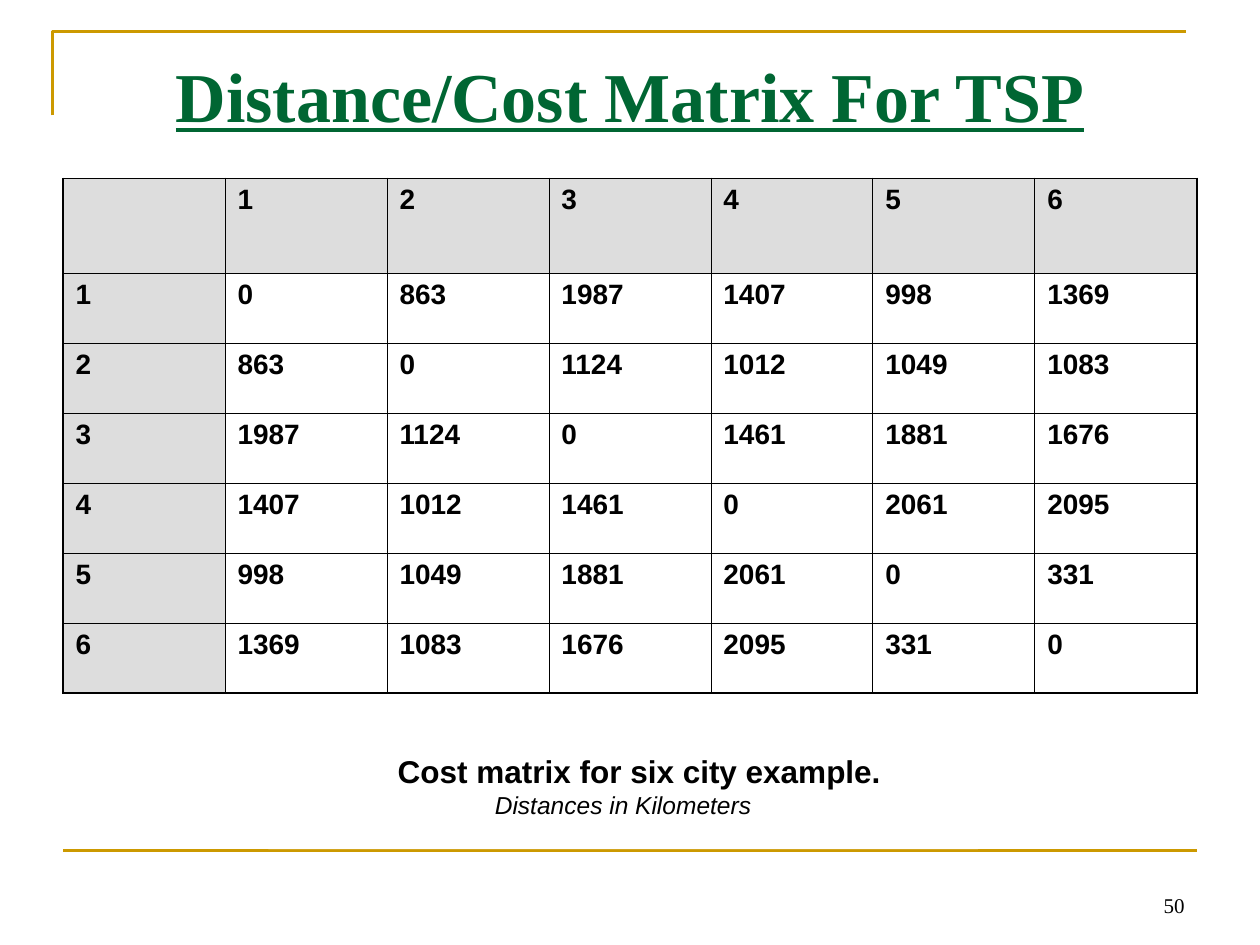
from dataclasses import dataclass

from pptx import Presentation
from pptx.dml.color import RGBColor
from pptx.enum.shapes import MSO_CONNECTOR, MSO_SHAPE
from pptx.enum.text import MSO_ANCHOR, PP_ALIGN
from pptx.oxml.ns import qn
from pptx.util import Pt
from lxml.etree import SubElement


@dataclass(frozen=True)
class Theme:
    gold: str = "CC9900"
    green: str = "006633"
    black: str = "000000"
    white: str = "FFFFFF"
    header: str = "DDDDDD"
    serif: str = "Times New Roman"
    sans: str = "Arial"
    title_size: float = 40
    caption_size: float = 18
    table_size: float = 16
    note_size: float = 14
    number_size: float = 12
    rule_width: float = 1.5
    outer_border: float = 1.08
    inner_border: float = 0.45


THEME = Theme()

DISTANCES = [
    [0, 863, 1987, 1407, 998, 1369],
    [863, 0, 1124, 1012, 1049, 1083],
    [1987, 1124, 0, 1461, 1881, 1676],
    [1407, 1012, 1461, 0, 2061, 2095],
    [998, 1049, 1881, 2061, 0, 331],
    [1369, 1083, 1676, 2095, 331, 0],
]


def rgb(color):
    return RGBColor.from_string(color)


def write_text(para, text, size, font=THEME.sans, color=THEME.black,
               align=PP_ALIGN.LEFT, bold=False, italic=False, underline=False):
    para.alignment = align
    span = para.add_run()
    span.text = text
    span.font.size = Pt(size)
    span.font.name = font
    span.font.color.rgb = rgb(color)
    span.font.bold = bold
    span.font.italic = italic
    span.font.underline = underline


def add_text_box(page, left, top, width, height, text, anchor, inset_top=3.6, **style):
    box = page.shapes.add_textbox(Pt(left), Pt(top), Pt(width), Pt(height))
    frame = box.text_frame
    frame.word_wrap = True
    frame.vertical_anchor = anchor
    frame.margin_top = Pt(inset_top)
    write_text(frame.paragraphs[0], text, **style)


def style_rule(line):
    line.color.rgb = rgb(THEME.gold)
    line.width = Pt(THEME.rule_width)


def add_corner_rule(page):
    builder = page.shapes.build_freeform(Pt(30), Pt(66))
    builder.add_line_segments([(Pt(30), Pt(18)), (Pt(678), Pt(18))], close=False)
    corner = builder.convert_to_shape()
    corner.shadow.inherit = False
    corner.fill.background()
    style_rule(corner.line)


def add_footer_rule(page):
    rule = page.shapes.add_connector(
        MSO_CONNECTOR.STRAIGHT, Pt(36), Pt(486), Pt(684), Pt(486))
    SubElement(rule._element.spPr, qn("a:effectLst"))
    style_rule(rule.line)


def add_caption(page):
    box = page.shapes.add_shape(
        MSO_SHAPE.RECTANGLE, Pt(153.4), Pt(426.2), Pt(405.4), Pt(59))
    box.shadow.inherit = False
    box.fill.solid()
    box.fill.fore_color.rgb = rgb(THEME.white)
    box.line.fill.background()
    frame = box.text_frame
    frame.word_wrap = True
    frame.vertical_anchor = MSO_ANCHOR.TOP
    heading = frame.paragraphs[0]
    write_text(heading, "Cost matrix for six city example.", THEME.caption_size,
               align=PP_ALIGN.CENTER, bold=True)
    heading._p.get_or_add_pPr().set("marL", str(Pt(18.4)))
    write_text(frame.add_paragraph(), "Distances in Kilometers", THEME.note_size,
               align=PP_ALIGN.CENTER, italic=True)


def set_border(cell, side, width):
    """Draw one side of a cell; side is L, R, T or B."""
    line = SubElement(cell._tc.get_or_add_tcPr(), qn(f"a:ln{side}"), w=str(Pt(width)))
    fill = SubElement(line, qn("a:solidFill"))
    SubElement(fill, qn("a:srgbClr"), val=THEME.black)


def add_matrix(page, left, top, width, header_height, row_height):
    cities = list(range(1, len(DISTANCES) + 1))
    rows = [["", *cities]] + [[city, *row] for city, row in zip(cities, DISTANCES)]
    count = len(rows)
    last = count - 1
    height = header_height + last * row_height
    table = page.shapes.add_table(
        count, count, Pt(left), Pt(top), Pt(width), Pt(height)).table
    table.first_row = False
    table.horz_banding = False
    for index in range(count):
        table.columns[index].width = Pt(width / count)
        table.rows[index].height = Pt(row_height if index else header_height)

    for r, row in enumerate(rows):
        for c, value in enumerate(row):
            cell = table.cell(r, c)
            on_edge = {"L": c == 0, "R": c == last, "T": r == 0, "B": r == last}
            for side, outer in on_edge.items():
                set_border(cell, side, THEME.outer_border if outer else THEME.inner_border)
            if r == 0 or c == 0:
                cell.fill.solid()
                cell.fill.fore_color.rgb = rgb(THEME.header)
            else:
                cell.fill.background()
            if value != "":
                write_text(cell.text_frame.paragraphs[0], str(value),
                           THEME.table_size, bold=True)


def main():
    deck = Presentation()
    deck.slide_width, deck.slide_height = Pt(720), Pt(540)
    page = deck.slides.add_slide(deck.slide_layouts[6])
    add_corner_rule(page)
    add_footer_rule(page)
    add_text_box(page, 516, 492, 168, 36, "50", MSO_ANCHOR.BOTTOM,
                 size=THEME.number_size, font=THEME.serif, align=PP_ALIGN.RIGHT)
    add_text_box(page, 36, 21.6, 648, 90, "Distance/Cost Matrix For TSP",
                 MSO_ANCHOR.TOP, inset_top=8.5, size=THEME.title_size,
                 font=THEME.serif, color=THEME.green, align=PP_ALIGN.CENTER,
                 bold=True, underline=True)
    add_caption(page)
    add_matrix(page, 36, 102, 648, header_height=54, row_height=40)
    deck.save("out.pptx")


if __name__ == "__main__":
    main()
